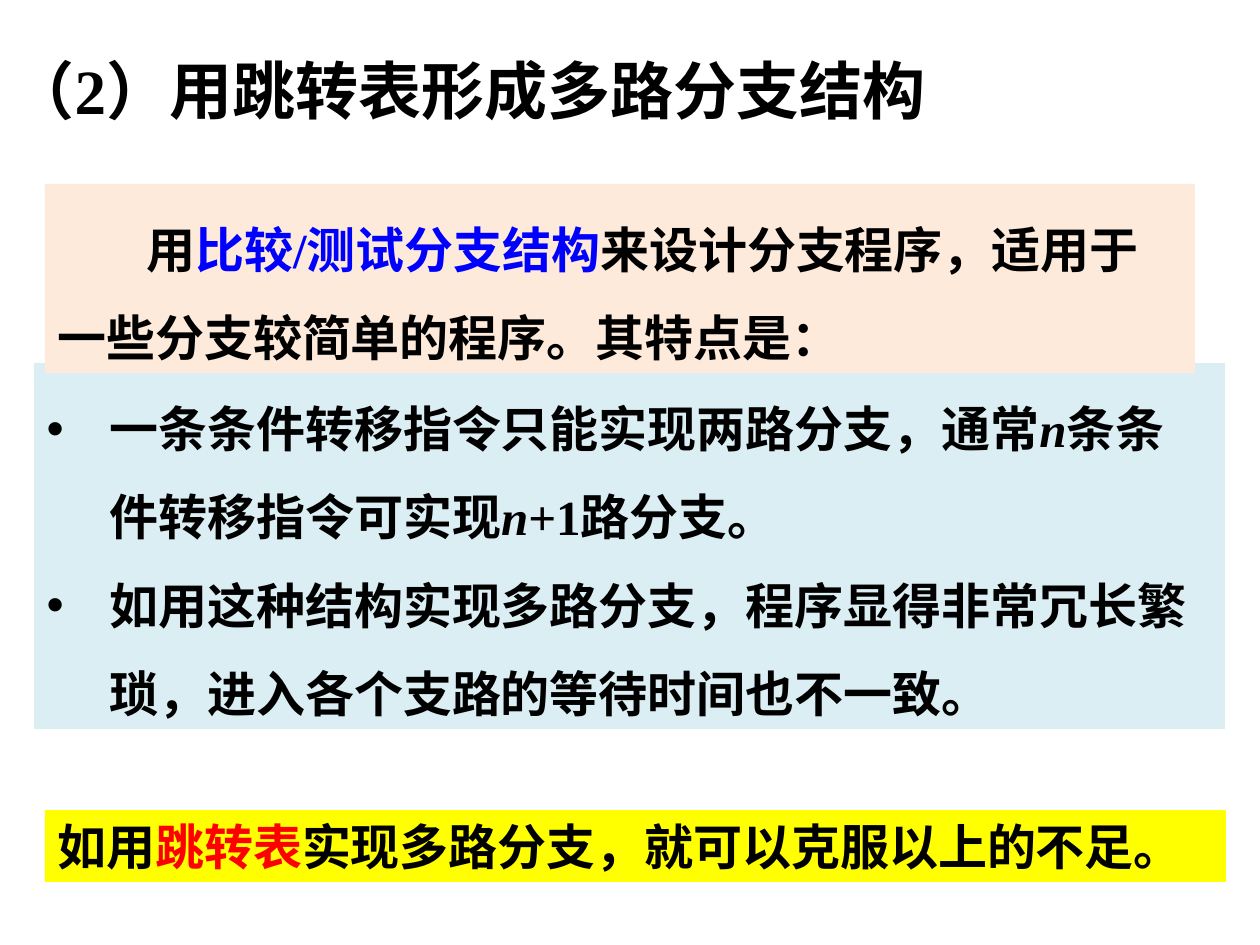
"""Build a slide on forming multi-way branches with a jump table."""
from lxml.etree import SubElement
from pptx import Presentation
from pptx.dml.color import RGBColor
from pptx.enum.shapes import MSO_SHAPE
from pptx.enum.text import MSO_ANCHOR as Anchor, MSO_AUTO_SIZE as AutoSize, PP_ALIGN as Align
from pptx.oxml.ns import qn
from pptx.util import Pt

PX = 914400 / 126
FONT = "Times New Roman"
COLORS = {"black": "000000", "blue": "0000FF", "red": "FF0000",
          "peach": "FDEADA", "pale_blue": "DBEEF4", "yellow": "FFFF00"}

TITLE = [[("（2）用跳转表形成多路分支结构", "black", False)]]
DRAWBACKS = [
    [("一条条件转移指令只能实现两路分支，通常", "black", False),
     ("n", "black", True),
     ("条条件转移指令可实现", "black", False),
     ("n", "black", True),
     ("+1路分支。", "black", False)],
    [("如用这种结构实现多路分支，程序显得非常冗长繁琐，进入各个支路的等待时间也不一致。",
      "black", False)],
]
INTRO = [[("用", "black", False),
          ("比较/测试分支结构", "blue", False),
          ("来设计分支程序，适用于一些分支较简单的程序。其特点是：", "black", False)]]
CONCLUSION = [[("如用", "black", False),
               ("跳转表", "red", False),
               ("实现多路分支，就可以克服以上的不足。", "black", False)]]


def px(length):
    return round(length * PX)


def color(name):
    return RGBColor.from_string(COLORS[name])


def add_bullet(paragraph):
    props = paragraph._p.get_or_add_pPr()
    bullet_color = SubElement(props, qn("a:buClr"))
    SubElement(bullet_color, qn("a:srgbClr"), val=COLORS["black"])
    SubElement(props, qn("a:buFont"), typeface="Arial")
    SubElement(props, qn("a:buChar"), char="•")


def fill_panel(panel, box, paragraphs, size=28, fill=None, spacing=1.0,
               margin=0, indent=0, bullets=False):
    panel.left, panel.top, panel.width, panel.height = map(px, box)
    if fill:
        panel.fill.solid()
        panel.fill.fore_color.rgb = color(fill)
    frame = panel.text_frame
    frame.word_wrap = True
    frame.auto_size = AutoSize.NONE
    frame.vertical_anchor = Anchor.TOP
    for number, runs in enumerate(paragraphs):
        paragraph = frame.add_paragraph() if number else frame.paragraphs[0]
        props = paragraph._p.get_or_add_pPr()
        props.set("marL", str(px(margin)))
        props.set("indent", str(px(indent)))
        if bullets:
            add_bullet(paragraph)
        paragraph.alignment = Align.LEFT
        paragraph.line_spacing = spacing
        paragraph.space_before = Pt(0)
        for words, tint, italic in runs:
            run = paragraph.add_run()
            run.text = words
            run.font.name = FONT
            run.font.size = Pt(size)
            run.font.bold = True
            run.font.italic = italic
            run.font.color.rgb = color(tint)


def add_panel(slide, box, paragraphs, **style):
    panel = slide.shapes.add_shape(MSO_SHAPE.RECTANGLE, *map(px, box))
    panel.shadow.inherit = False
    panel.line.fill.background()
    fill_panel(panel, box, paragraphs, **style)


def main():
    deck = Presentation()
    deck.slide_width, deck.slide_height = px(1260), px(945)
    slide = deck.slides.add_slide(deck.slide_layouts[1])
    title, drawbacks = slide.placeholders
    fill_panel(title, (-1, 45, 1008, 88), TITLE, size=36)
    fill_panel(drawbacks, (34, 363, 1191, 366), DRAWBACKS, fill="pale_blue",
               spacing=1.5, margin=63, indent=-63, bullets=True)
    add_panel(slide, (45, 184, 1150, 189), INTRO, fill="peach", spacing=1.5, indent=89)
    add_panel(slide, (45, 810, 1181, 72), CONCLUSION, fill="yellow")
    deck.save("out.pptx")


if __name__ == "__main__":
    main()
